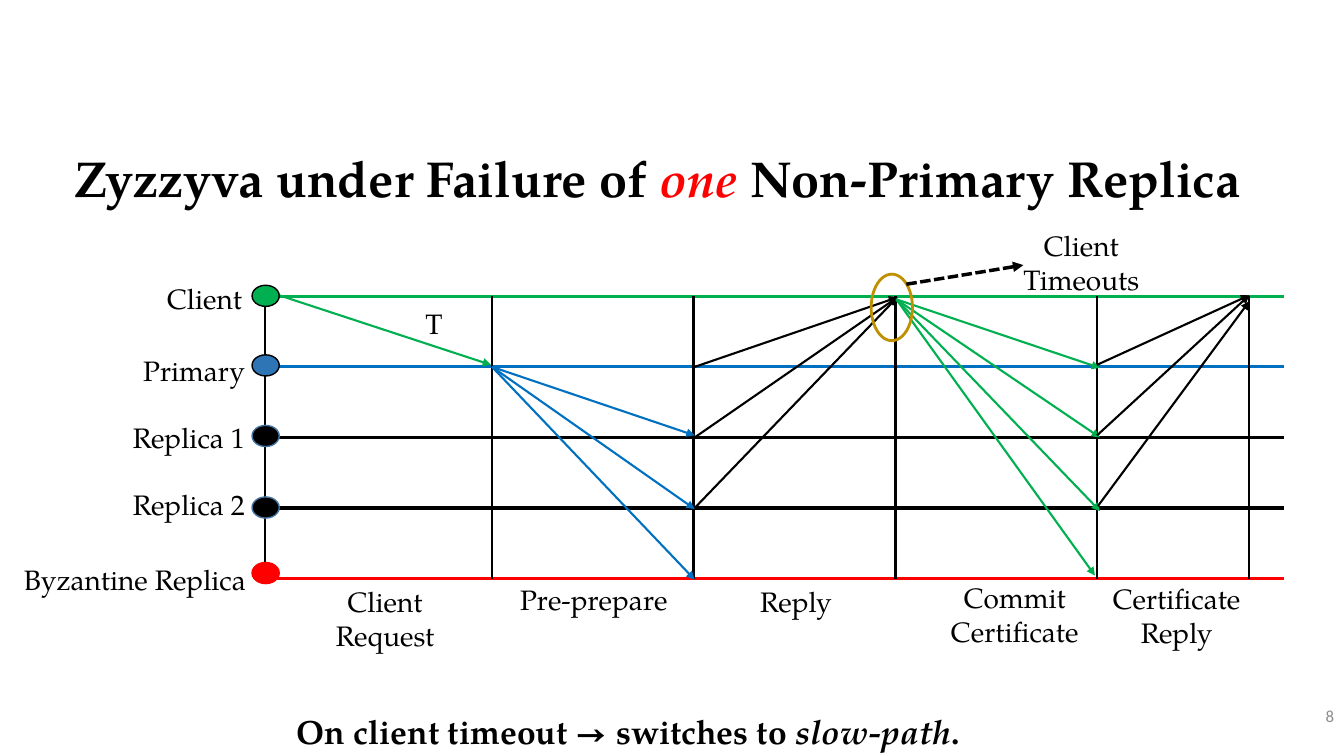
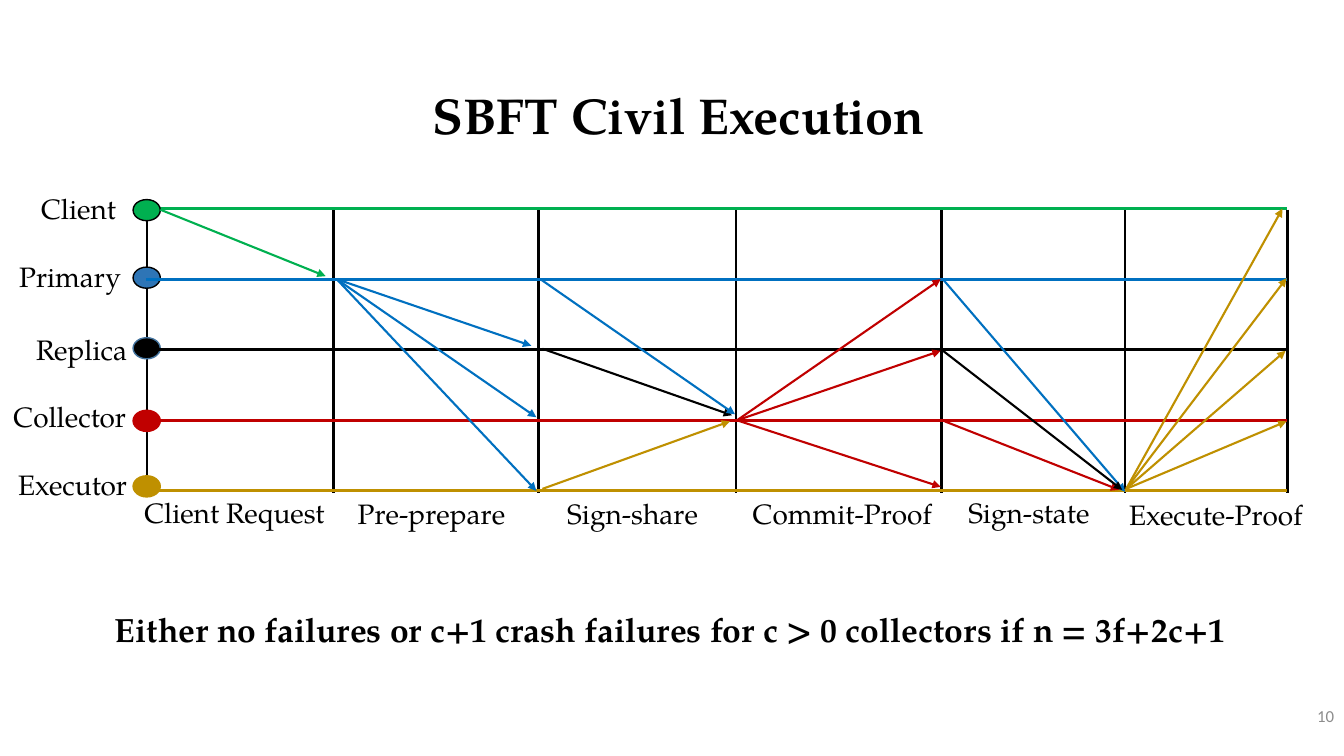
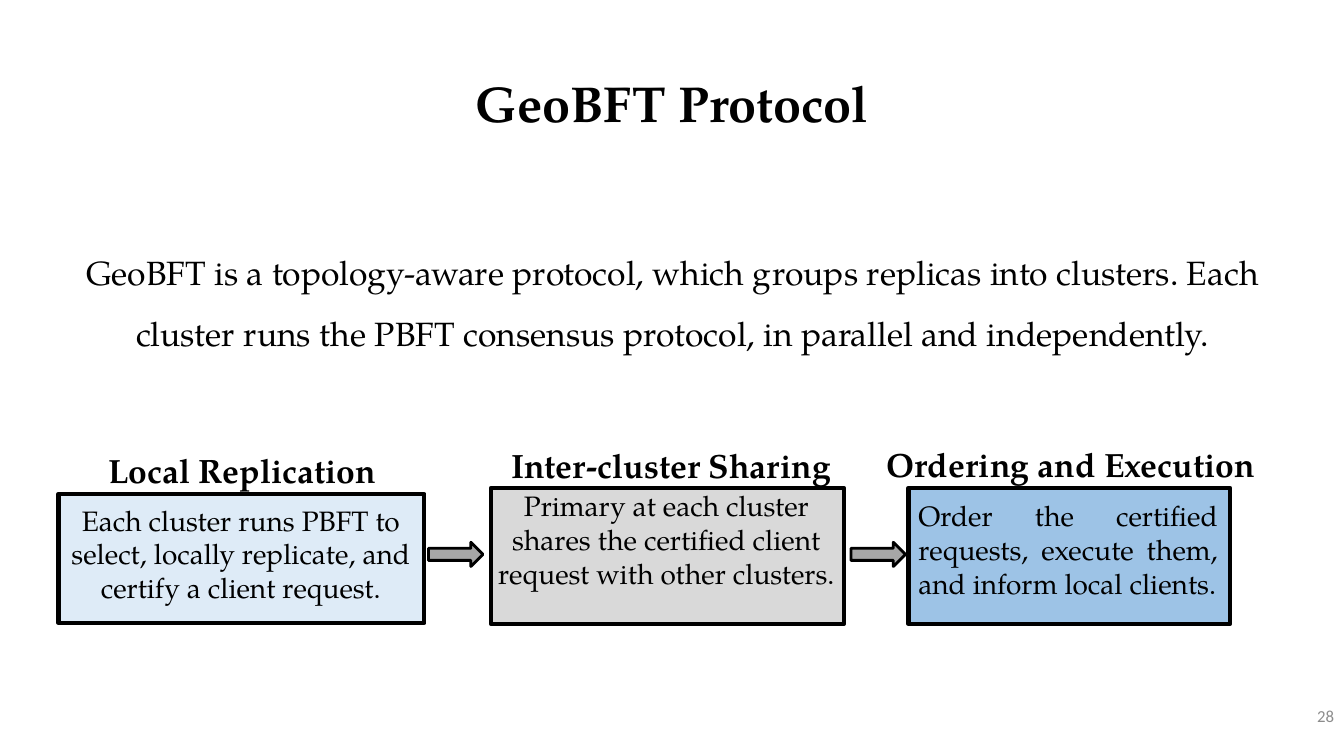
from itertools import product

from lxml import etree
from pptx import Presentation
from pptx.dml.color import RGBColor
from pptx.enum.dml import MSO_LINE
from pptx.enum.shapes import MSO_CONNECTOR, MSO_SHAPE
from pptx.enum.text import MSO_ANCHOR, PP_ALIGN
from pptx.oxml.ns import qn
from pptx.util import Pt

SCALE = 9144
STRAIGHT = MSO_CONNECTOR.STRAIGHT
OVAL, RECT, ARROW = MSO_SHAPE.OVAL, MSO_SHAPE.RECTANGLE, MSO_SHAPE.RIGHT_ARROW
CENTER, RIGHT, JUSTIFY = PP_ALIGN.CENTER, PP_ALIGN.RIGHT, PP_ALIGN.JUSTIFY
TOP, MIDDLE = MSO_ANCHOR.TOP, MSO_ANCHOR.MIDDLE
DOTTED = MSO_LINE.SQUARE_DOT

BLACK = RGBColor(0x00, 0x00, 0x00)
GRAY = RGBColor(0x8C, 0x8C, 0x8C)
RED = RGBColor(0xFF, 0x00, 0x00)
GREEN = RGBColor(0x00, 0xB0, 0x50)
BLUE = RGBColor(0x00, 0x70, 0xC0)
STEEL = RGBColor(0x2E, 0x75, 0xB6)
NAVY = RGBColor(0x43, 0x73, 0x9E)
GOLD = RGBColor(0xBF, 0x90, 0x00)
CRIMSON = RGBColor(0xC0, 0x00, 0x00)
PALE = RGBColor(0xDE, 0xEB, 0xF7)
SILVER = RGBColor(0xD9, 0xD9, 0xD9)
SKY = RGBColor(0x9D, 0xC3, 0xE6)
ASH = RGBColor(0xA6, 0xA6, 0xA6)


class Deck:
    """Holds the shared style and the current slide."""

    serif = "TeX Gyre Pagella"
    sans = "Calibri"

    def __init__(self):
        self.prs = Presentation()
        self.prs.slide_width, self.prs.slide_height = self.emu(1333, 750)
        self.shapes = None

    def emu(self, *sizes):
        return [size * SCALE for size in sizes]

    def start(self, title, box, number, space=1.2):
        slide = self.prs.slides.add_slide(self.prs.slide_layouts[6])
        self.shapes = slide.shapes
        self.text(title, box, 36, bold=True, anchor=MIDDLE, space=space, accent=RED)
        self.text(number, (1163, 690, 170, 40), 12, RIGHT, anchor=MIDDLE,
                  font=self.sans, color=GRAY)

    def text(self, words, box, size=20, align=CENTER, wrap=True, **style):
        shape = self.shapes.add_textbox(*self.emu(*box))
        self.put(shape.text_frame, words, size, align, wrap, **style)

    def put(self, frame, words, size=20, align=CENTER, wrap=True, bold=False,
            anchor=TOP, space=None, font=serif, color=BLACK, accent=BLACK):
        frame.word_wrap = wrap
        frame.vertical_anchor = anchor
        first, *rest = words.split("*")
        frame.text = first
        for part in rest:
            frame.paragraphs[0].add_run().text = part
        for para in frame.paragraphs:
            para.alignment = align
            if space:
                para.line_spacing = space
            for index, run in enumerate(para.runs):
                odd = index % 2 == 1
                run.font.name, run.font.size = font, Pt(size)
                run.font.bold, run.font.italic = bold, odd
                run.font.color.rgb = accent if odd else color

    def label(self, words, left, top, width, align=CENTER):
        self.text(words, (left, top, width, 44), 20, align, wrap=False)

    def note(self, words, box):
        self.text(words, box, 24, bold=True, anchor=MIDDLE, space=1.2)

    def shape(self, kind, box, fill, color=BLACK, width=1):
        shape = self.shapes.add_shape(kind, *self.emu(*box))
        shape.shadow.inherit = False
        if fill is None:
            shape.fill.background()
        else:
            shape.fill.solid()
            shape.fill.fore_color.rgb = fill
        shape.line.color.rgb = color
        shape.line.width = Pt(width)
        return shape

    def dot(self, left, top, fill, color):
        self.shape(OVAL, (left, top, 27, 21), fill, color)

    def line(self, start, end, color=BLACK, width=1.75, head=False, dash=None):
        line = self.shapes.add_connector(STRAIGHT, *self.emu(*start, *end))
        line.line.color.rgb = color
        line.line.width = Pt(width)
        if dash:
            line.line.dash_style = dash
        props = line._element.spPr
        if head:
            etree.SubElement(props.find(qn("a:ln")), qn("a:tailEnd"), type="triangle")
        etree.SubElement(props, qn("a:effectLst"))

    def lanes(self, left, right, top, colors):
        for index, color in enumerate(colors):
            y = top + 70 * index
            self.line((left, y), (right, y), color, 2.25)

    def posts(self, top, bottom, lefts):
        for x in lefts:
            self.line((x, top), (x, bottom))

    def fan(self, color, starts, ends):
        for start, end in product(starts, ends):
            self.line(start, end, color, 1.5, head=True)

    def card(self, box, fill, words, align, margins):
        shape = self.shape(RECT, box, fill, BLACK, 3)
        frame = shape.text_frame
        frame.margin_left, frame.margin_top, frame.margin_right = self.emu(*margins)
        self.put(frame, words, align=align)


def failure(deck):
    deck.start("Zyzzyva under Failure of *one* Non-Primary Replica",
               (54, 131, 1196, 78), "8")
    client, primary, one, two, bad = range(294, 575, 70)
    deck.lanes(263, 1273, client, (GREEN, BLUE, BLACK, BLACK, RED))
    request, prepare, reply, commit, final = 488, 688, 888, 1088, 1239
    deck.posts(client, bad, (263, request, prepare, reply, commit, final))
    deck.fan(GREEN, [(277, 293)], [(487, 362)])
    deck.fan(BLUE, [(request, primary)], [(689, y) for y in (432, 505, 575)])
    deck.fan(BLACK, [(689, y) for y in (primary, one, two)], [(890, 295)])
    deck.fan(GREEN, [(889, 297)], [(1091, 365), (1091, one), (1091, 507), (1086, 571)])
    deck.fan(BLACK, [(commit, y) for y in (362, 432)], [(final, 293)])
    deck.fan(BLACK, [(1089, 502)], [(final, 299)])
    for top, fill, color in ((283, GREEN, BLACK), (352, STEEL, BLACK), (422, BLACK, NAVY),
                             (493, BLACK, NAVY), (558, RED, RED)):
        deck.dot(250, top, fill, color)
    deck.shape(OVAL, (864, 272, 41, 66), None, GOLD, 2)
    deck.line((899, 282), (1015, 263), BLACK, 2.5, head=True, dash=DOTTED)
    for words, left, top, width in (("Client", 155, 274, 95), ("Primary", 131, 346, 122),
                                    ("Replica 1", 120, 412, 133),
                                    ("Replica 2", 120, 479, 133),
                                    ("Byzantine Replica", 10, 553, 244)):
        deck.label(words, left, top, width, RIGHT)
    for words, left, top, width in (("T", 412, 299, 37), ("Client\nRequest", 322, 575, 120),
                                    ("Pre-prepare", 505, 573, 168), ("Reply", 743, 575, 93),
                                    ("Commit\nCertificate", 932, 571, 149),
                                    ("Certificate\nReply", 1089, 572, 156),
                                    ("Client\nTimeouts", 1004, 222, 137)):
        deck.label(words, left, top, width)
    deck.note("On client timeout → switches to *slow-path*.", (48, 694, 1150, 55))


def civil(deck):
    deck.start("SBFT Civil Execution", (98, 68, 1150, 78), "10")
    client, primary, replica, collect, execute = range(207, 488, 70)
    request, prepare, share, proof, state, final = 331, 534, 730, 934, 1116, 1277
    deck.posts(208, 489, (request, prepare, share, proof, state, final))
    deck.line((146, 198), (146, 485))
    for top, fill, color in ((265, STEEL, BLACK), (335, BLACK, NAVY),
                             (407, CRIMSON, CRIMSON), (472, GOLD, GOLD)):
        deck.dot(132, top, fill, color)
    deck.lanes(145, 1276, client, (GREEN, BLUE, BLACK, CRIMSON, GOLD))
    deck.dot(132, 198, GREEN, BLACK)
    deck.fan(GREEN, [(159, 208)], [(323, 274)])
    deck.fan(BLUE, [(334, primary)], [(527, 343), (532, 414), (532, execute)])
    deck.fan(GOLD, [(538, 485)], [(724, 418)])
    deck.fan(BLACK, [(538, 346)], [(726, 412)])
    deck.fan(BLUE, [(536, primary)], [(729, 411)])
    deck.fan(CRIMSON, [(731, collect)], [(933, y) for y in (primary, 348, 483)])
    deck.fan(BLUE, [(936, 278)], [(1116, 488)])
    deck.fan(CRIMSON, [(937, 418)], [(1110, 486)])
    deck.fan(BLACK, [(934, replica)], [(1113, 486)])
    deck.fan(GOLD, [(1117, 485)], [(1272, 207), (1276, 276), (1275, 348), (1276, 418)])
    for words, left, top, width in (("Client", 30, 185, 95), ("Primary", 8, 253, 122),
                                    ("Replica", 24, 325, 112), ("Collector", 2, 391, 133),
                                    ("Executor", 6, 459, 130)):
        deck.label(words, left, top, width, RIGHT)
    for words, left, top, width in (("Client Request", 128, 487, 209),
                                    ("Pre-prepare", 344, 488, 168),
                                    ("Sign-share", 548, 488, 159),
                                    ("Commit-Proof", 736, 488, 199),
                                    ("Sign-state", 941, 487, 159),
                                    ("Execute-Proof", 1109, 489, 194)):
        deck.label(words, left, top, width)
    deck.note("Either no failures or c+1 crash failures for c > 0 collectors if n = 3f+2c+1",
              (92, 593, 1145, 55))


def geo(deck):
    deck.start("GeoBFT Protocol", (0, 72, 1333, 66), "28", 0.9)
    deck.text("GeoBFT is a topology-aware protocol, which groups replicas into clusters. "
              "Each cluster runs the PBFT consensus protocol, in parallel and independently.",
              (35, 225, 1264, 125), 24, space=1.5)
    deck.card((58, 490, 363, 128), PALE, "Each cluster runs PBFT to select, locally "
              "replicate, and certify a client request.", CENTER, (11, 9, 12))
    deck.card((487, 484, 350, 135), SILVER, "Primary at each cluster shares the certified "
              "client request with other clusters.", CENTER, (4, 1, 6))
    deck.card((901, 484, 319, 135), SKY, "Order the certified requests, execute them, "
              "and inform local clients.", JUSTIFY, (10, 11, 12))
    for words, left, top, width in (("Local Replication", 97, 441, 286),
                                    ("Inter-cluster Sharing", 497, 436, 337),
                                    ("Ordering and Execution", 869, 435, 386)):
        deck.text(words, (left, top, width, 50), 24, wrap=False, bold=True)
    for left in (425, 844):
        deck.shape(ARROW, (left, 538, 54, 24), ASH, BLACK, 2)


def main():
    deck = Deck()
    for build in (failure, civil, geo):
        build(deck)
    deck.prs.save("out.pptx")


if __name__ == "__main__":
    main()
